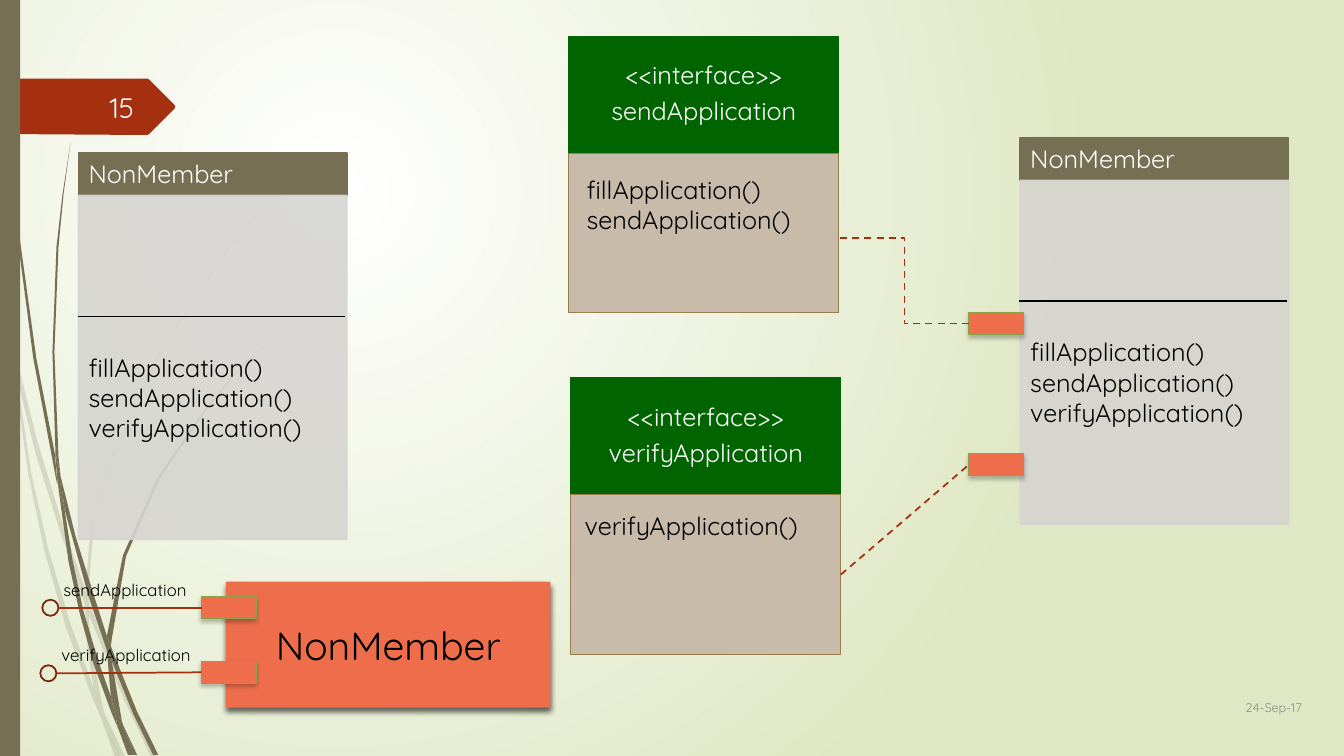
"""Build the slide of NonMember's interfaces on a grid of hundredths of an inch."""
from lxml import etree
from pptx import Presentation
from pptx import util as u
from pptx.dml.color import RGBColor
from pptx.enum import dml, shapes, text
from pptx.oxml import ns

CELL = u.Inches(0.01)
FONT = "Quicksand"
RECT, OVAL = shapes.MSO_SHAPE.RECTANGLE, shapes.MSO_SHAPE.OVAL
LEFT, MID, RIGHT = text.PP_ALIGN.LEFT, text.PP_ALIGN.CENTER, text.PP_ALIGN.RIGHT
OLIVE, RUST, CORAL, GREEN = "766F54", "A53010", "EE6E4B", "006400"

deck = Presentation()
deck.slide_width, deck.slide_height = u.Inches(13.33), u.Inches(7.5)
slide = deck.slides.add_slide(deck.slide_layouts[6])


def hue(code):
    return RGBColor.from_string(code)


def box(at, fill=None, edge=None, words="", kind=RECT, size=18, ink="000000",
        side=LEFT, thick=0.75, mid=False):
    spot = [n * CELL for n in at]
    if kind is None:
        item = slide.shapes.add_textbox(*spot)
    else:
        item = slide.shapes.add_shape(kind, *spot)
        item.shadow.inherit = False
        item.fill.background()
        item.line.fill.background()
    if fill:
        item.fill.solid()
        item.fill.fore_color.rgb = hue(fill)
    if edge:
        item.line.color.rgb = hue(edge)
        item.line.width = u.Pt(thick)
    if words:
        frame = item.text_frame
        frame.text = words
        frame.word_wrap = True
        frame.vertical_anchor = text.MSO_ANCHOR.MIDDLE if mid else text.MSO_ANCHOR.TOP
        for par in frame.paragraphs:
            par.alignment = side
            for run in par.runs:
                run.font.name, run.font.size = FONT, u.Pt(size)
                run.font.color.rgb = hue(ink)
    return item


back = slide.background.fill
back.gradient()
for stop, code, place in zip(back.gradient_stops, ("FFFFFF", "DFE8C4"), (0, 1)):
    stop.color.rgb, stop.position = hue(code), place
grad = slide.element.xpath(".//a:gradFill")[0]
for lin in grad.xpath("a:lin"):
    grad.remove(lin)
glow = etree.SubElement(grad, ns.qn("a:path"), path="circle")
etree.SubElement(glow, ns.qn("a:fillToRect"), l="50000", t="50000", r="100000", b="100000")

pale = [
    [(11, 350), (9, 322), (0, 282), (0, 299), (10, 344)],
    [(58, 522), (84, 599), (85, 586), (62, 520), (36, 434), (14, 345), (17, 376), (35, 449)],
    [(92, 607), (88, 596), (88, 610), (123, 694), (150, 751), (155, 751), (127, 692)],
    [(119, 751), (124, 751), (105, 711)],
    [(93, 683), (70, 619), (48, 545), (31, 469), (17, 376), (11, 350), (28, 470), (44, 546),
     (65, 621), (92, 693), (101, 714), (99, 707)],
    [(84, 599), (87, 646), (93, 683), (96, 692), (105, 711), (103, 706), (91, 646),
     (88, 610), (88, 608)],
    [(88, 584), (93, 522), (110, 462), (160, 349), (229, 245), (268, 198), (290, 175),
     (312, 153), (289, 175), (268, 197), (228, 244), (158, 348), (107, 461), (90, 522),
     (85, 584), (88, 596)],
    [(101, 714), (114, 751), (119, 751)],
    [(88, 608), (88, 596), (85, 586), (84, 599)],
    [(96, 692), (93, 683), (99, 707), (101, 714), (119, 751), (105, 711)],
]
dark = [
    [(7, 110), (17, 233), (33, 355), (56, 477), (57, 481), (55, 457), (55, 453), (36, 355),
     (19, 232), (8, 109), (5, 48), (4, 0), (3, 0), (4, 48)],
    [(88, 592), (106, 645), (106, 631), (93, 590), (75, 532), (60, 472), (64, 505)],
    [(113, 649), (110, 641), (111, 656), (132, 708), (152, 749), (157, 749), (136, 706)],
    [(110, 691), (98, 657), (83, 607), (72, 556), (64, 505), (57, 477), (68, 557),
     (79, 608), (93, 659), (111, 708), (117, 722), (116, 717)],
    [(60, 472), (58, 453), (54, 349), (58, 245), (63, 193), (70, 141), (62, 193),
     (56, 245), (52, 349), (55, 449)],
    [(133, 749), (136, 749), (122, 719)],
    [(57, 477), (64, 505), (60, 472), (55, 449), (55, 453)],
    [(111, 633), (125, 552), (158, 476), (205, 406), (231, 374), (245, 359), (261, 344),
     (245, 358), (231, 373), (204, 405), (156, 474), (122, 551), (106, 631), (110, 641)],
    [(117, 722), (127, 749), (131, 749)],
    [(106, 645), (110, 691), (116, 706), (122, 719), (121, 716), (111, 656), (109, 651)],
    [(106, 645), (109, 651), (111, 656), (110, 641), (106, 631)],
    [(116, 706), (110, 691), (116, 717), (117, 722), (130, 749), (133, 749), (122, 719)],
]
tag = [(173, 108), (148, 133), (146, 134), (0, 133), (0, 78), (146, 78), (148, 79),
       (173, 104), (174, 106)]
sheer = []
for group, code, share in ((pale, OLIVE, 20), (dark, OLIVE, 100), ([tag], RUST, 100)):
    for dots in group:
        draft = slide.shapes.build_freeform(*dots[0], scale=CELL)
        draft.add_line_segments(dots[1:])
        blade = draft.convert_to_shape()
        blade.shadow.inherit = False
        blade.fill.solid()
        blade.fill.fore_color.rgb = hue(code)
        blade.line.fill.background()
        sheer.append((blade, share))
box((0, 0, 20, 750), OLIVE)
box((58, 86, 85, 40), words="15", kind=None, size=20, ink="FEFFFF", side=RIGHT, mid=True)
box((1176, 681, 125, 41), words="24-Sep-17", kind=None, size=9, ink="8C8C8C", side=RIGHT,
    mid=True)

wires = []
for left, top in ((78, 152), (1012, 137)):
    box((left, top, 266, 42), OLIVE, OLIVE, "NonMember", ink="FFFFFF", thick=1.25)
    card = box((left, top + 42, 266, 341), "D6D5D1", "D6D5D1",
               "fillApplication()\nsendApplication()\nverifyApplication()", thick=1.25)
    card.text_frame.margin_top = 155 * CELL
    sheer.append((card, 90))
    wires.append(((left - 1, top + 162, left + 264, top + 162), "000000", False, None, None))

for item, share in sheer:
    if share < 100:
        for tint in item.element.xpath("p:spPr//a:srgbClr"):
            etree.SubElement(tint, ns.qn("a:alpha"), val=str(share * 1000))

bodies = []
for left, top, name in ((564, 36, "sendApplication"), (566, 375, "verifyApplication")):
    head = box((left, top, 268, 116), GREEN, GREEN, f"<<interface>>\n{name}", ink="FFFFFF",
               side=MID, mid=True)
    for par in head.text_frame.paragraphs:
        par.line_spacing, par.space_after = 0.9, u.Pt(6.3)
    bodies.append(box((left, top + 116, 268, 158), "C8BBAA", "987D4D"))
box((572, 168, 261, 71), words="fillApplication()\nsendApplication()", kind=None)
box((570, 501, 246, 40), words="verifyApplication()", kind=None)

part = box((224, 577, 322, 125), CORAL, words="NonMember", size=28, side=MID, mid=True)
ports = [box((left, top, 54, 22), CORAL, "8BA249")
         for left, top in ((200, 592), (200, 656), (961, 310), (961, 450))]
for item, blur, drop, share in [(part, 4, 3, 60)] + [(port, 3, 2, 25) for port in ports]:
    cast = etree.SubElement(item.element.xpath("p:spPr/a:effectLst")[0],
                            ns.qn("a:outerShdw"), blurRad=str(u.Pt(blur)),
                            dist=str(u.Pt(drop)), dir="5400000", rotWithShape="0")
    tint = etree.SubElement(cast, ns.qn("a:srgbClr"), val="000000")
    etree.SubElement(tint, ns.qn("a:alpha"), val=str(share * 1000))

for port, left, top, name in ((ports[0], 42, 595, "sendApplication"),
                              (ports[1], 40, 660, "verifyApplication")):
    box((left, top, 16, 16), edge="7A240C", kind=OVAL, thick=1.25)
    box((left + 11, top - 25, 167, 30), words=name, kind=None, size=12)
    wires.append(((200, top + 8, left + 16, top + 8), RUST, False, (port, 1), None))
wires += [((833, 236, 961, 321), RUST, True, None, (ports[2], 1)),
          ((834, 569, 961, 461), RUST, True, (bodies[1], 3), (ports[3], 1))]

for ends, code, dash, start, stop in wires:
    bent = dash and not start
    kind = shapes.MSO_CONNECTOR.ELBOW if bent else shapes.MSO_CONNECTOR.STRAIGHT
    wire = slide.shapes.add_connector(kind, *[n * CELL for n in ends])
    wire.line.color.rgb = hue(code)
    wire.line.width = u.Pt(1.25)
    if dash:
        wire.line.dash_style = dml.MSO_LINE.DASH
    if start:
        wire.begin_connect(*start)
    if stop:
        wire.end_connect(*stop)
    etree.SubElement(wire.element.spPr, ns.qn("a:effectLst"))

deck.save("out.pptx")
